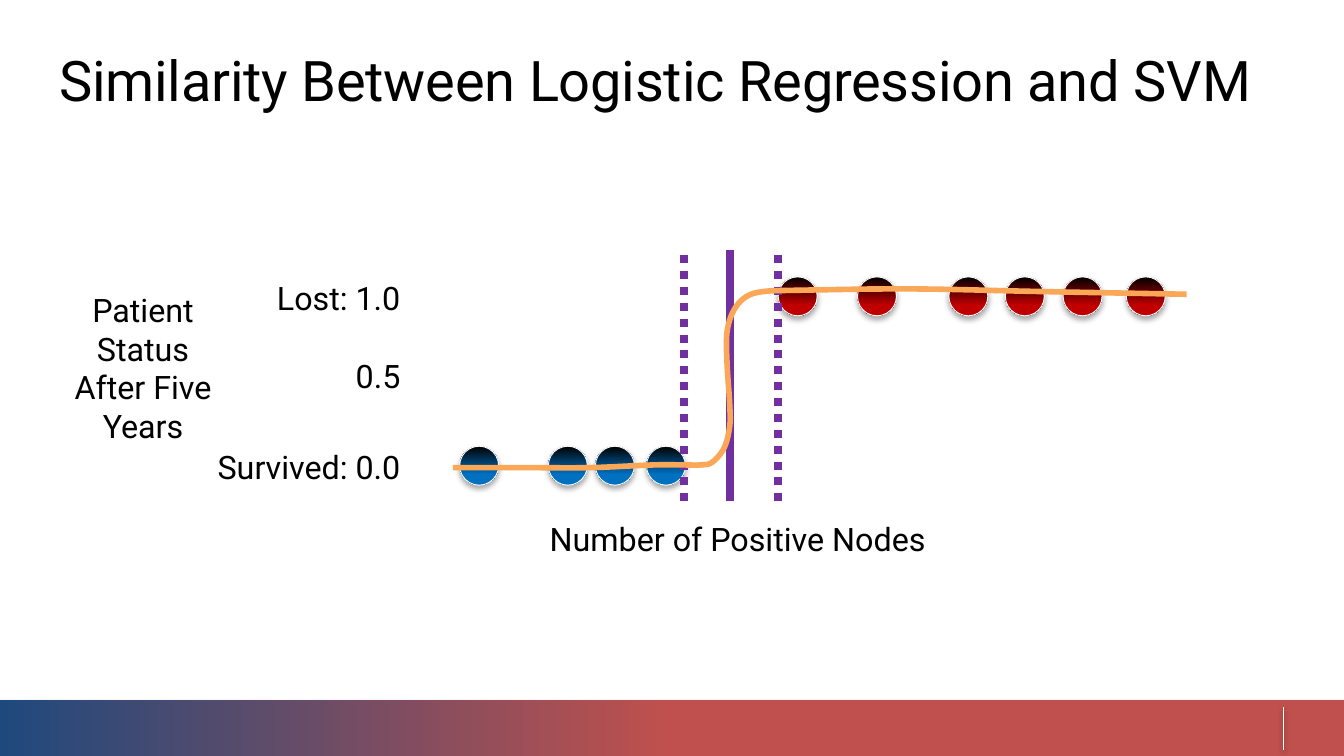
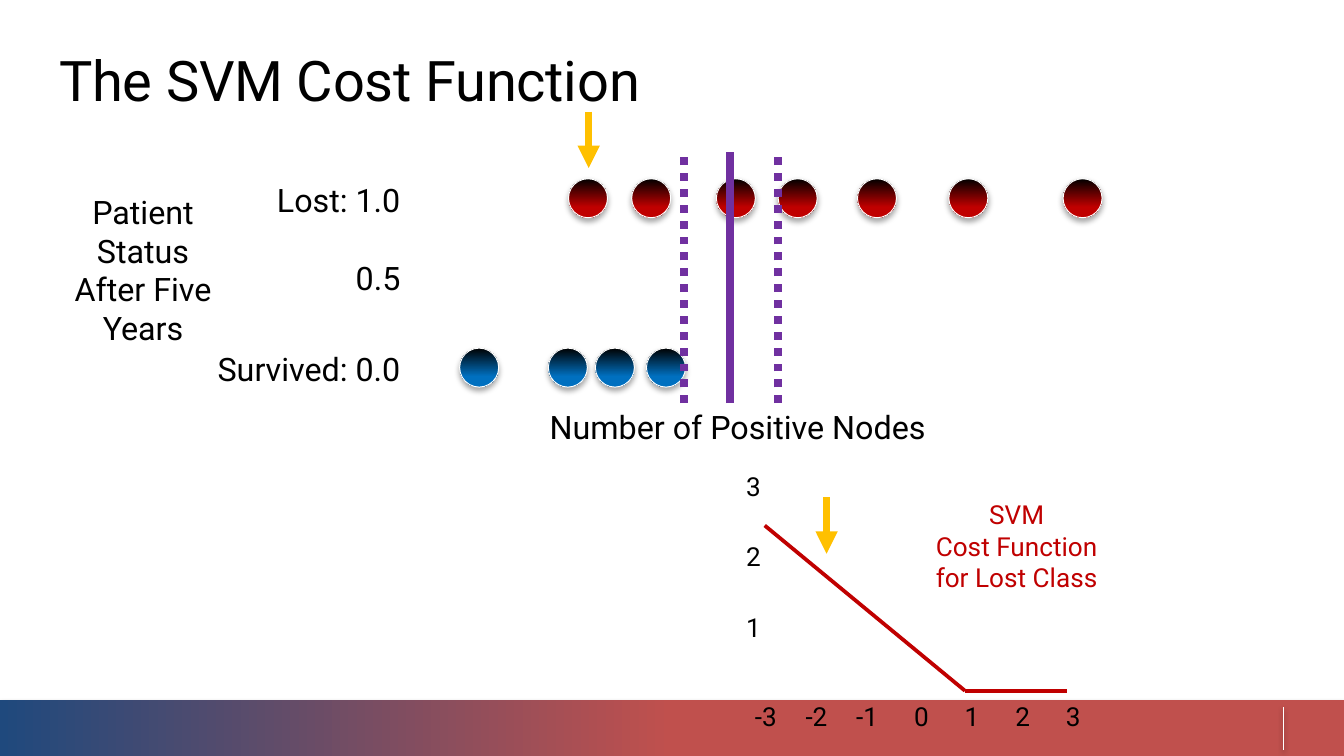
from dataclasses import dataclass

from lxml import etree
from pptx import Presentation
from pptx.dml.color import RGBColor
from pptx.dml.fill import FillFormat
from pptx.enum.dml import MSO_LINE
from pptx.enum.shapes import MSO_CONNECTOR, MSO_SHAPE
from pptx.enum.text import MSO_ANCHOR, PP_ALIGN
from pptx.oxml import parse_xml
from pptx.oxml.ns import nsdecls, qn
from pptx.shapes.connector import Connector
from pptx.shapes.shapetree import GroupShapes, SlideShapes
from pptx.slide import Slide
from pptx.util import Inches, Pt

Shapes = SlideShapes | GroupShapes
Point = tuple[float, float]

COLORS = {
    "text": "000000",
    "white": "FFFFFF",
    "band_start": "1F497D",
    "band_end": "C0504D",
    "dot_top": "000000",
    "survived": "0070C0",
    "lost": "C00000",
    "margin": "7030A0",
    "sigmoid": "FAA757",
    "pointer": "FFC000",
}
FONT = "Roboto"
LABEL_SIZE = 17.3
TICK_SIZE = 14
DOT_SIZE = 0.29
SURVIVED_DROP = 1.26
SURVIVED_LEFTS = (3.42, 4.08, 4.43, 4.81)
BOUNDARY_X = 5.43
MARGIN_XS = (5.09, 5.79)

SIGMOID_KNOTS: list[Point] = [
    (3.37, 3.48), (3.89, 3.48), (4.39, 3.48), (4.86, 3.46), (5.1, 3.46),
    (5.21, 3.46), (5.3, 3.44), (5.39, 3.33), (5.43, 3.17), (5.43, 3.01),
    (5.41, 2.7), (5.41, 2.47), (5.46, 2.31), (5.55, 2.21), (5.68, 2.17),
    (5.95, 2.16), (6.79, 2.15), (7.75, 2.17), (8.83, 2.19),
]


@dataclass(frozen=True)
class Label:
    lines: tuple[str, ...]
    left: float
    top: float
    width: float
    height: float
    size: float = LABEL_SIZE
    align: PP_ALIGN = PP_ALIGN.RIGHT
    anchor: MSO_ANCHOR = MSO_ANCHOR.MIDDLE
    color: str = "text"
    spacing: float = 0


@dataclass(frozen=True)
class PatientPlot:
    """Patients by outcome; top is the upper edge of the lost row."""
    top: float
    caption_top: float
    lost_lefts: tuple[float, ...]


def rgb(name: str) -> RGBColor:
    return RGBColor.from_string(COLORS[name])


def add_label(shapes: Shapes, label: Label) -> None:
    box = shapes.add_textbox(Inches(label.left), Inches(label.top),
                             Inches(label.width), Inches(label.height))
    frame = box.text_frame
    frame.word_wrap = True
    frame.vertical_anchor = label.anchor
    frame.margin_left = frame.margin_right = 0
    frame.margin_top = frame.margin_bottom = 0
    frame.text = "\n".join(label.lines)
    for paragraph in frame.paragraphs:
        paragraph.alignment = label.align
        paragraph.font.name = FONT
        paragraph.font.size = Pt(label.size)
        paragraph.font.color.rgb = rgb(label.color)
        if label.spacing:
            paragraph.font._rPr.set("spc", str(round(label.spacing * 100)))


def add_shadow(properties: etree._Element, opacity: int, distance: float) -> None:
    """Put a soft shadow straight below the shape with these properties."""
    for effects in properties.findall(qn("a:effectLst")):
        properties.remove(effects)
    properties.append(parse_xml(
        f'<a:effectLst {nsdecls("a")}>'
        f'<a:outerShdw blurRad="{Pt(3.1)}" dist="{Pt(distance)}" dir="5400000" rotWithShape="0">'
        f'<a:srgbClr val="000000"><a:alpha val="{opacity * 1000}"/></a:srgbClr>'
        '</a:outerShdw></a:effectLst>'))


def set_gradient(fill: FillFormat, start: str, end: str, end_position: float,
                 angle: float) -> None:
    fill.gradient()
    fill.gradient_angle = angle
    for stop, color, position in zip(fill.gradient_stops, (start, end), (0, end_position)):
        stop.color.rgb = rgb(color)
        stop.position = position


def add_line(shapes: Shapes, start: Point, end: Point, color: str, width: float,
             dotted: bool = False, arrow: bool = False) -> Connector:
    line = shapes.add_connector(MSO_CONNECTOR.STRAIGHT,
                                Inches(start[0]), Inches(start[1]),
                                Inches(end[0]), Inches(end[1]))
    line.line.color.rgb = rgb(color)
    line.line.width = Pt(width)
    if dotted:
        line.line.dash_style = MSO_LINE.ROUND_DOT
    if arrow:
        etree.SubElement(line.line._get_or_add_ln(), qn("a:tailEnd"), type="triangle")
    etree.SubElement(line._element.spPr, qn("a:effectLst"))
    return line


def add_dot(shapes: Shapes, left: float, top: float, outcome: str) -> None:
    dot = shapes.add_shape(MSO_SHAPE.OVAL, Inches(left), Inches(top),
                           Inches(DOT_SIZE), Inches(DOT_SIZE))
    set_gradient(dot.fill, "dot_top", outcome, 0.73, 270)
    dot.line.color.rgb = rgb("white")
    dot.line.width = Pt(0.5)
    add_shadow(dot._element.spPr, 35, 1.8)


def add_footer(shapes: Shapes) -> None:
    band = shapes.add_shape(MSO_SHAPE.RECTANGLE, 0, Inches(5.21), Inches(10), Inches(0.42))
    set_gradient(band.fill, "band_start", "band_end", 0.5, 0)
    band.line.fill.background()
    add_shadow(band._element.spPr, 35, 1.8)
    divider = add_line(shapes, (9.55, 5.26), (9.55, 5.58), "white", 0.75)
    add_shadow(divider._element.spPr, 38, 1.6)


def add_titled_slide(presentation: Presentation, title: str, title_height: float) -> Slide:
    slide = presentation.slides.add_slide(presentation.slide_layouts[6])
    add_footer(slide.shapes)
    add_label(slide.shapes, Label((title,), 0.44, 0.34, 9.23, title_height, 30,
                                  PP_ALIGN.LEFT, MSO_ANCHOR.TOP, spacing=-0.1))
    return slide


def add_patient_plot(shapes: Shapes, plot: PatientPlot) -> None:
    top = plot.top
    for label in (
        Label(("Number of Positive Nodes",), 4.09, plot.caption_top, 3.28, 0.29,
              align=PP_ALIGN.LEFT),
        Label(("Survived: 0.0",), 1.47, top + 1.13, 1.51, 0.57),
        Label(("Lost: 1.0",), 1.98, top - 0.13, 1, 0.57),
        Label(("0.5",), 1.98, top + 0.59, 1, 0.29),
        Label(("Patient", "Status", "After Five Years"), 0.4, top + 0.1, 1.33, 1.15,
              align=PP_ALIGN.CENTER),
    ):
        add_label(shapes, label)
    for left in SURVIVED_LEFTS:
        add_dot(shapes, left, top + SURVIVED_DROP, "survived")
    for left in plot.lost_lefts:
        add_dot(shapes, left, top, "lost")
    for x in (BOUNDARY_X, *MARGIN_XS):
        add_line(shapes, (x, top + 1.67), (x, top - 0.2), "margin", 4.25,
                 dotted=x in MARGIN_XS)


def smooth(knots: list[Point], steps: int = 6) -> list[Point]:
    """Return points on a Catmull-Rom curve through the knots."""
    padded = [knots[0], *knots, knots[-1]]
    points = [knots[0]]
    for before, start, end, after in zip(padded, padded[1:], padded[2:], padded[3:]):
        for step in range(1, steps + 1):
            t = step / steps
            x, y = (
                0.5 * (2 * b + (c - a) * t + (2 * a - 5 * b + 4 * c - d) * t ** 2
                       + (3 * b - a - 3 * c + d) * t ** 3)
                for a, b, c, d in zip(before, start, end, after)
            )
            points.append((x, y))
    return points


def add_sigmoid(shapes: Shapes) -> None:
    first, *rest = [(Inches(x), Inches(y)) for x, y in smooth(SIGMOID_KNOTS)]
    builder = shapes.build_freeform(*first)
    builder.add_line_segments(rest, close=False)
    sigmoid = builder.convert_to_shape()
    sigmoid.fill.background()
    sigmoid.line.color.rgb = rgb("sigmoid")
    sigmoid.line.width = Pt(3)
    sigmoid.shadow.inherit = False


def add_cost_plot(shapes: Shapes) -> None:
    plot = shapes.add_group_shape().shapes
    for row, cost in enumerate((3, 2, 1)):
        add_label(plot, Label((str(cost),), 5.52, 3.5 + 1.05 * row / 2, 0.14, 0.23, TICK_SIZE))
    for column, distance in enumerate(range(-3, 4)):
        add_label(plot, Label((str(distance),), 5.56 + 2.26 * column / 6, 5.21, 0.22, 0.23,
                              TICK_SIZE, anchor=MSO_ANCHOR.TOP))
    hinge = (7.18, 5.14)
    add_line(plot, (5.69, 3.91), hinge, "lost", 2)
    add_line(plot, hinge, (7.94, 5.14), "lost", 2)
    add_label(shapes, Label(("SVM", "Cost Function", "for Lost Class"), 6.71, 3.71, 1.71, 0.7,
                            TICK_SIZE, PP_ALIGN.CENTER, color="lost"))


def add_pointer(shapes: Shapes, x: float, top: float) -> None:
    add_line(shapes, (x, top), (x, top + 0.42), "pointer", 4, arrow=True)


def main() -> None:
    presentation = Presentation()
    presentation.slide_width = Inches(10)
    presentation.slide_height = Inches(10) * 9 // 16

    similarity = add_titled_slide(
        presentation, "Similarity Between Logistic Regression and SVM", 1)
    add_patient_plot(similarity.shapes, PatientPlot(
        2.06, 3.86, (5.79, 6.38, 7.06, 7.48, 7.91, 8.38)))
    add_sigmoid(similarity.shapes)

    cost = add_titled_slide(presentation, "The SVM Cost Function", 0.5)
    add_patient_plot(cost.shapes, PatientPlot(
        1.33, 3.03, (4.23, 4.7, 5.33, 5.79, 6.38, 7.06, 7.91)))
    add_pointer(cost.shapes, 4.38, 0.83)
    add_pointer(cost.shapes, 6.15, 3.7)
    add_cost_plot(cost.shapes)

    presentation.save("out.pptx")


if __name__ == "__main__":
    main()
